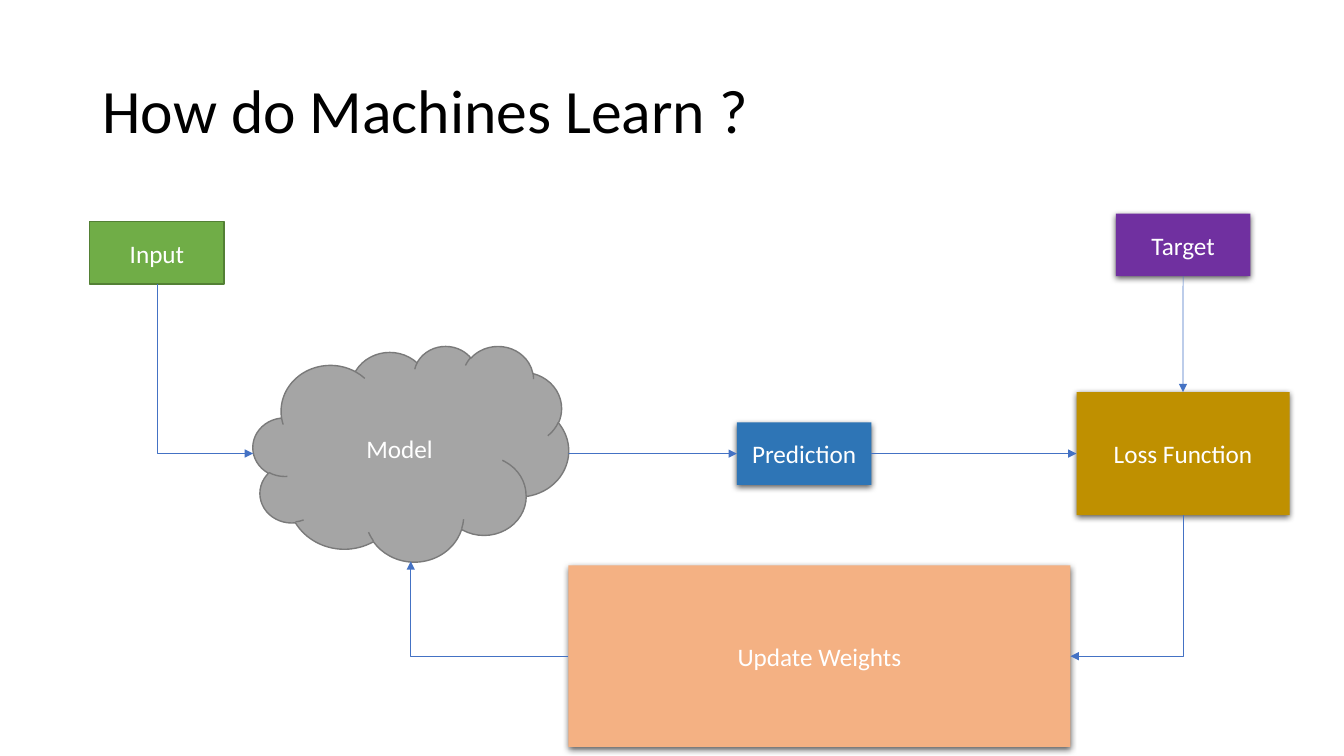
"""Build the slide that shows the learning loop of a machine."""
from dataclasses import dataclass
from typing import Any, Optional

import lxml.etree
import pptx
import pptx.dml.color
import pptx.enum.shapes
import pptx.enum.text
import pptx.oxml
import pptx.oxml.ns
import pptx.util

SHAPE = pptx.enum.shapes.MSO_SHAPE
ALIGN = pptx.enum.text.PP_ALIGN
MIDDLE = pptx.enum.text.MSO_ANCHOR.MIDDLE
WIDTH, HEIGHT = pptx.util.Inches(13.333), pptx.util.Inches(7.5)
TOP, LEFT, BOTTOM, RIGHT = range(4)
FONT = "Calibri"
ARROW_COLOR = "4472C4"


@dataclass(frozen=True)
class Node:
    """A labelled shape, placed in percent of the slide's size."""
    label: str
    x: float
    y: float
    w: float
    h: float
    fill: str
    line: Optional[str] = None
    kind: Any = SHAPE.RECTANGLE


@dataclass(frozen=True)
class Arrow:
    """An arrow from the side of one node to the side of another."""
    start: str
    start_side: int
    end: str
    end_side: int


SMALL_W, SMALL_H = 10, 8.27
NODES = [
    Node("Input", 6.68, 29.33, SMALL_W, SMALL_H, "70AD47", "538035"),
    Node("Target", 83.03, 28.27, SMALL_W, SMALL_H, "7030A0"),
    Node("Prediction", 54.83, 55.87, SMALL_W, SMALL_H, "2E75B6"),
    Node("Model", 18.83, 45.73, 23.48, 28.53, "A5A5A5", "7A7A7A", SHAPE.CLOUD),
    Node("Loss Function", 80.1, 51.87, 15.85, 16.27, "BF9000"),
    Node("Update Weights", 42.3, 74.8, 37.35, 24, "F4B183"),
]
ARROWS = [
    Arrow("Input", BOTTOM, "Model", LEFT),
    Arrow("Target", BOTTOM, "Loss Function", TOP),
    Arrow("Loss Function", BOTTOM, "Update Weights", RIGHT),
    Arrow("Update Weights", LEFT, "Model", BOTTOM),
    Arrow("Prediction", RIGHT, "Loss Function", LEFT),
    Arrow("Model", RIGHT, "Prediction", LEFT),
]


def px(share: float) -> int:
    """Turn a percentage of the slide's width into a length."""
    return round(WIDTH * share / 100)


def py(share: float) -> int:
    """Turn a percentage of the slide's height into a length."""
    return round(HEIGHT * share / 100)


def paint(color: Any, value: str) -> None:
    """Set a colour from a hex string."""
    color.rgb = pptx.dml.color.RGBColor.from_string(value)


def write(tf: Any, text: str, size: int, color: str, align: Any) -> Any:
    """Fill a text frame with one paragraph and return it."""
    tf.text = text
    tf.word_wrap = True
    tf.vertical_anchor = MIDDLE
    p = tf.paragraphs[0]
    p.alignment = align
    p.font.name = FONT
    p.font.size = pptx.util.Pt(size)
    paint(p.font.color, color)
    return p


def add_title(s: Any, text: str) -> None:
    """Place and format the title placeholder."""
    title = s.shapes.title
    title.left, title.top = px(6.88), py(5.33)
    title.width, title.height = px(86.25), py(19.33)
    p = write(title.text_frame, text, 44, "000000", ALIGN.LEFT)
    p.line_spacing = 0.9
    title.text_frame.auto_size = pptx.enum.text.MSO_AUTO_SIZE.NONE


def add_shadow(sp: Any) -> None:
    """Give a shape a soft shadow below it."""
    effects = sp._element.spPr.find(pptx.oxml.ns.qn("a:effectLst"))
    effects.append(pptx.oxml.parse_xml(
        f'<a:outerShdw {pptx.oxml.ns.nsdecls("a")} blurRad="57150" dist="19050" '
        'dir="5400000" algn="ctr" rotWithShape="0"><a:srgbClr val="000000">'
        '<a:alpha val="63000"/></a:srgbClr></a:outerShdw>'))


def add_node(s: Any, node: Node) -> Any:
    """Draw a node; one without an outline gets a shadow."""
    sp = s.shapes.add_shape(node.kind, px(node.x), py(node.y), px(node.w), py(node.h))
    sp.fill.solid()
    paint(sp.fill.fore_color, node.fill)
    sp.shadow.inherit = False
    if node.line:
        paint(sp.line.color, node.line)
        sp.line.width = pptx.util.Pt(1)
    else:
        sp.line.fill.background()
        add_shadow(sp)
    write(sp.text_frame, node.label, 18, "FFFFFF", ALIGN.CENTER)
    return sp


def side_point(sp: Any, side: int) -> tuple[int, int]:
    """Return the middle of a side of a shape's frame."""
    across, down = {TOP: (1, 0), LEFT: (0, 1), BOTTOM: (1, 2), RIGHT: (2, 1)}[side]
    return sp.left + sp.width * across // 2, sp.top + sp.height * down // 2


def style_arrow(conn: Any) -> None:
    """Set an arrow's line, head and lack of shadow."""
    paint(conn.line.color, ARROW_COLOR)
    conn.line.width = pptx.util.Pt(0.5)
    qn = pptx.oxml.ns.qn
    lxml.etree.SubElement(conn.line._get_or_add_ln(), qn("a:tailEnd"), type="triangle")
    lxml.etree.SubElement(conn._element.spPr, qn("a:effectLst"))


def add_straight(s: Any, arrow: Arrow, start: Any, end: Any) -> Any:
    """Draw a straight arrow, joined to the rectangles it touches."""
    conn = s.shapes.add_connector(
        pptx.enum.shapes.MSO_CONNECTOR.STRAIGHT,
        *side_point(start, arrow.start_side), *side_point(end, arrow.end_side))
    if start.auto_shape_type == SHAPE.RECTANGLE:
        conn.begin_connect(start, arrow.start_side)
    if end.auto_shape_type == SHAPE.RECTANGLE:
        conn.end_connect(end, arrow.end_side)
    return conn


def add_bent(s: Any, arrow: Arrow, start: Any, end: Any) -> Any:
    """Draw an arrow with one corner, turned when it leaves downwards."""
    x1, y1 = side_point(start, arrow.start_side)
    x2, y2 = side_point(end, arrow.end_side)
    turned = arrow.start_side == BOTTOM
    if turned:
        cx, cy, dx, dy = (x1 + x2) // 2, (y1 + y2) // 2, x2 - x1, y2 - y1
        x1, y1 = cx - dy // 2, cy + dx // 2
        x2, y2 = cx + dy // 2, cy - dx // 2
    conn = s.shapes.add_connector(pptx.enum.shapes.MSO_CONNECTOR.ELBOW, x1, y1, x2, y2)
    spPr = conn._element.spPr
    spPr.find(pptx.oxml.ns.qn("a:prstGeom")).set("prst", "bentConnector2")
    if turned:
        spPr.find(pptx.oxml.ns.qn("a:xfrm")).set("rot", "5400000")
    return conn


def main() -> None:
    """Build and save the slide."""
    prs = pptx.Presentation()
    prs.slide_width, prs.slide_height = WIDTH, HEIGHT
    s = prs.slides.add_slide(prs.slide_layouts[5])
    add_title(s, "How do Machines Learn ?")
    shapes = {node.label: add_node(s, node) for node in NODES}
    for arrow in ARROWS:
        opposite = (arrow.start_side + 2) % 4 == arrow.end_side
        draw = add_straight if opposite else add_bent
        style_arrow(draw(s, arrow, shapes[arrow.start], shapes[arrow.end]))
    prs.save("out.pptx")


if __name__ == "__main__":
    main()
